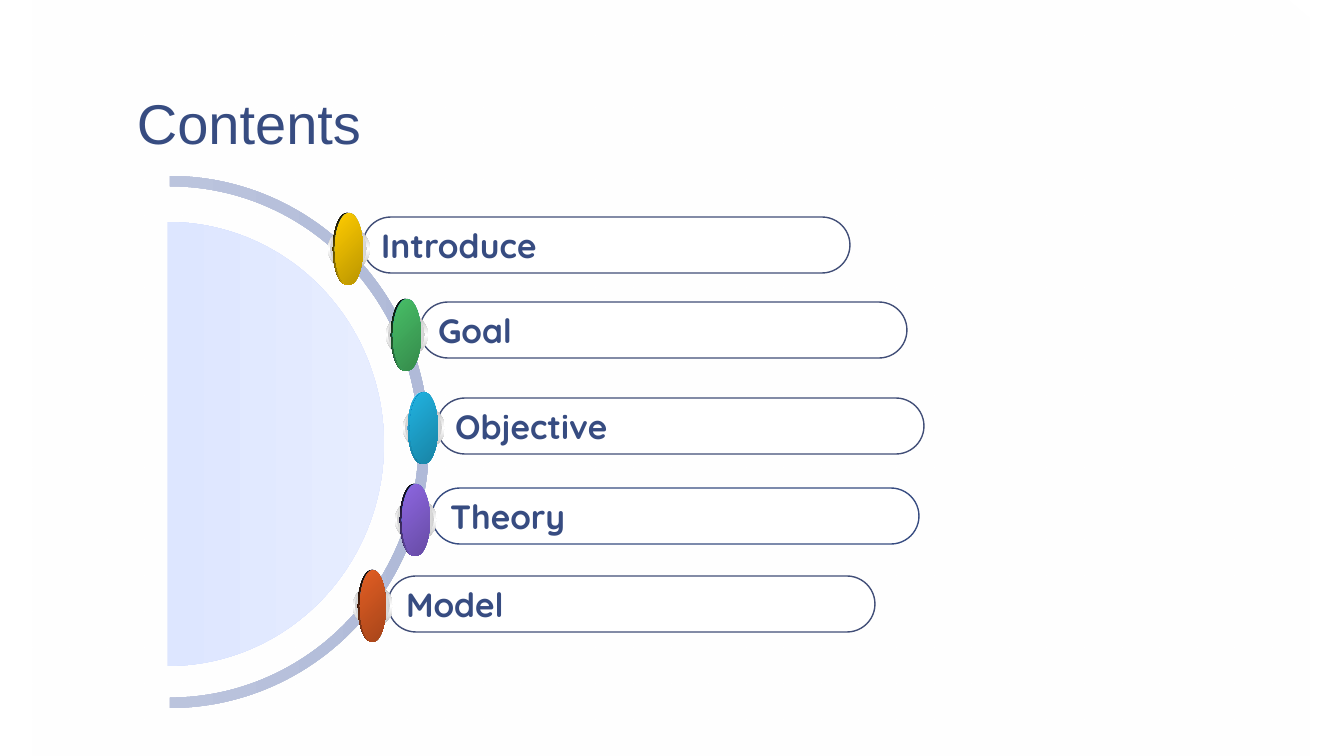
from lxml import etree
from pptx import Presentation
from pptx.dml.color import RGBColor
from pptx.enum.shapes import MSO_SHAPE
from pptx.enum.text import MSO_ANCHOR, PP_ALIGN
from pptx.oxml.ns import qn
from pptx.util import Emu, Pt

EMU_PER_PX = 914400 / 100.8

WHITE = RGBColor(0xFF, 0xFF, 0xFF)
BLACK = RGBColor(0x00, 0x00, 0x00)
NAVY = RGBColor(0x37, 0x4C, 0x81)
SLATE = RGBColor(0x41, 0x4E, 0x77)
ARC_PALE = RGBColor(0xC8, 0xCF, 0xE3)
ARC_DEEP = RGBColor(0xB0, 0xBA, 0xD8)
DISC_DEEP = RGBColor(0xD0, 0xDD, 0xFE)
DISC_PALE = RGBColor(0xE7, 0xED, 0xFF)
RIM_GRAY = RGBColor(0xB6, 0xB6, 0xB6)
RING_GRAY = RGBColor(0xD1, 0xD1, 0xD1)
BLUE = RGBColor(0x00, 0x70, 0xC0)
DARK_BLUE = RGBColor(0x00, 0x56, 0x93)
YELLOW = RGBColor(0xFF, 0xCC, 0x00)
DARK_YELLOW = RGBColor(0xBA, 0x95, 0x00)
GREEN = RGBColor(0x48, 0xBE, 0x67)
DARK_GREEN = RGBColor(0x35, 0x8B, 0x4B)
CYAN = RGBColor(0x21, 0xB3, 0xE1)
DARK_CYAN = RGBColor(0x18, 0x83, 0xA4)
SHADE_CYAN = RGBColor(0x18, 0x80, 0xA1)
PURPLE = RGBColor(0x8D, 0x67, 0xE1)
DARK_PURPLE = RGBColor(0x67, 0x4B, 0xA4)
ORANGE = RGBColor(0xE3, 0x5E, 0x23)
DARK_ORANGE = RGBColor(0xA6, 0x45, 0x1A)

PILL_WIDTH, PILL_HEIGHT = 487, 56
TOP_ANGLE, BOTTOM_ANGLE = 162, 54

TOPICS = [
    ("Introduce", 363, 217, SLATE),
    ("Goal", 420, 302, SLATE),
    ("Objective", 437, 398, SLATE),
    ("Theory", 432, 488, NAVY),
    ("Model", 388, 576, SLATE),
]
BEADS = [
    (328, 228, 0, (BLACK, YELLOW), 45, (YELLOW, DARK_YELLOW)),
    (386, 314, 0, (BLACK, GREEN), 45, (GREEN, DARK_GREEN)),
    (403, 407, 0, (CYAN, SHADE_CYAN), 90, (CYAN, DARK_CYAN)),
    (395, 499, 0, (BLACK, PURPLE), 45, (PURPLE, DARK_PURPLE)),
    (353, 585, 2, (BLACK, ORANGE), 45, (ORANGE, DARK_ORANGE)),
]


def px(length):
    return Emu(round(length * EMU_PER_PX))


def add_gradient_shape(shapes, preset, box, colours, angle, opacities=None):
    shape = shapes.add_shape(preset, *map(px, box))
    shape.shadow.inherit = False
    shape.line.fill.background()
    shape.fill.gradient()
    shape.fill.gradient_angle = (360 - angle) % 360
    stops = shape._element.spPr.find(qn("a:gradFill")).find(qn("a:gsLst"))
    for stop in list(stops):
        stops.remove(stop)
    for index, colour in enumerate(colours):
        position = 100000 * index // (len(colours) - 1)
        stop = etree.SubElement(stops, qn("a:gs"), pos=str(position))
        value = etree.SubElement(stop, qn("a:srgbClr"), val=str(colour))
        if opacities:
            etree.SubElement(value, qn("a:alpha"), val=str(opacities[index] * 1000))
    return shape


def add_half_rings(slide):
    arc = add_gradient_shape(slide.shapes, MSO_SHAPE.BLOCK_ARC,
                             (-89, 176, 518, 532), (ARC_PALE, ARC_DEEP), 0)
    arc.adjustments[0] = TOP_ANGLE
    arc.adjustments[1] = BOTTOM_ANGLE
    arc.adjustments[2] = 0.02
    disc = add_gradient_shape(slide.shapes, MSO_SHAPE.CHORD,
                              (-48, 222, 432, 444), (DISC_DEEP, DISC_PALE), 0)
    disc.adjustments[0] = TOP_ANGLE
    disc.adjustments[1] = BOTTOM_ANGLE


def add_title(slide, text):
    title = slide.shapes.add_textbox(px(124), px(9), px(1120), px(154))
    frame = title.text_frame
    frame.word_wrap = True
    frame.vertical_anchor = MSO_ANCHOR.BOTTOM
    frame.margin_left = frame.margin_right = px(13)
    frame.margin_top = frame.margin_bottom = px(7)
    heading = frame.paragraphs[0]
    heading.text = text
    heading.line_spacing = 0.85
    heading.font.name = "Arial"
    heading.font.size = Pt(40)
    heading.font.color.rgb = NAVY


def add_pill(slide, text, left, top, outline):
    pill = slide.shapes.add_shape(MSO_SHAPE.ROUNDED_RECTANGLE, px(left), px(top),
                                  px(PILL_WIDTH), px(PILL_HEIGHT))
    pill.adjustments[0] = 0.5
    pill.shadow.inherit = False
    pill.fill.solid()
    pill.fill.fore_color.rgb = WHITE
    pill.line.color.rgb = outline
    pill.line.width = Pt(1)
    pill.text_frame.word_wrap = False
    pill.text_frame.vertical_anchor = MSO_ANCHOR.MIDDLE
    topic = pill.text_frame.paragraphs[0]
    topic.text = text
    topic.alignment = PP_ALIGN.LEFT
    topic.font.name = "Quicksand"
    topic.font.size = Pt(24)
    topic.font.bold = True
    topic.font.color.rgb = NAVY


def add_bead(slide, left, top, trim, edge, edge_angle, face):
    layers = [
        (0, 0, 42 - trim, 42, (RIM_GRAY, WHITE, RIM_GRAY), 90),
        (2, 2, 37 - trim, 37, (RING_GRAY, WHITE, RING_GRAY), 0),
        (5, -15, 28, 72, (WHITE, BLUE, WHITE), 45),
        (5, -15, 28, 72, edge, edge_angle),
        (7, -15, 28 - trim, 72, (DARK_BLUE, BLUE, DARK_BLUE), 315),
        (7, -15, 28 - trim, 72, face, 45),
    ]
    bead = slide.shapes.add_group_shape()
    for dx, dy, width, height, colours, angle in layers:
        box = (left + dx, top + dy, width, height)
        add_gradient_shape(bead.shapes, MSO_SHAPE.OVAL, box, colours, angle)


def main():
    deck = Presentation()
    deck.slide_width, deck.slide_height = px(1344), px(756)
    slide = deck.slides.add_slide(deck.slide_layouts[6])

    add_gradient_shape(slide.shapes, MSO_SHAPE.RECTANGLE, (33, 0, 1277, 756),
                       (WHITE, WHITE), 130, (0, 55))
    add_half_rings(slide)
    for topic in TOPICS:
        add_pill(slide, *topic)
    for bead in BEADS:
        add_bead(slide, *bead)
    add_title(slide, "Contents")
    deck.save("out.pptx")


if __name__ == "__main__":
    main()
